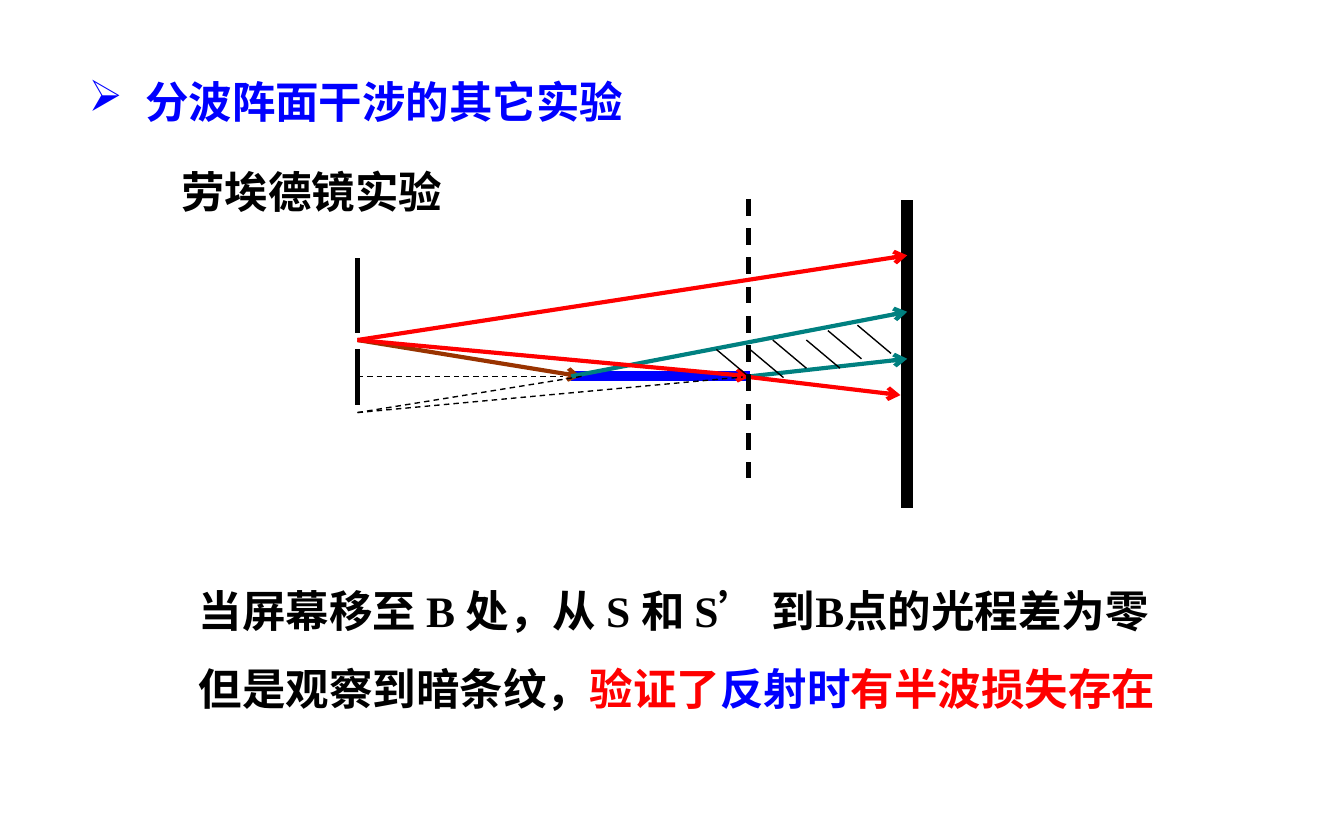
from dataclasses import dataclass

from lxml import etree
from pptx import Presentation
from pptx.dml.color import RGBColor
from pptx.enum import dml, shapes, text
from pptx.oxml import ns
from pptx.util import Inches, Pt


@dataclass(frozen=True)
class Theme:
    black: str = "000000"
    blue: str = "0000FF"
    red: str = "FF0000"
    teal: str = "008080"
    brown: str = "993300"
    latin: str = "Times New Roman"
    cjk: str = "Noto Sans CJK SC"
    size: float = 23.3
    hairline: float = 0.75
    ray: float = 2.25
    slit: float = 3
    mirror: float = 5.5
    screen: float = 6.25


THEME = Theme()

SLIT_X, MIRROR_X, MIRROR_END, SCREEN_X = 2.66, 4.25, 5.58, 6.75
MIRROR_Y = 2.8
SOURCE = (SLIT_X, 2.53)
IMAGE = (SLIT_X, 3.07)
NEAR_EDGE = (MIRROR_X, MIRROR_Y)
FAR_EDGE = (MIRROR_END, MIRROR_Y)


def place(box, left, top, width, height):
    box.left, box.top = Inches(left), Inches(top)
    box.width, box.height = Inches(width), Inches(height)
    frame = box.text_frame
    frame.word_wrap = True
    frame.auto_size = text.MSO_AUTO_SIZE.NONE
    frame.vertical_anchor = text.MSO_ANCHOR.TOP
    return frame


def set_bullet(para, char=None, indent=0):
    """Give the paragraph a hanging bullet, or none at all."""
    props = para._p.get_or_add_pPr()
    props.set("marL", str(Inches(indent)))
    props.set("indent", str(-Inches(indent)))
    bullet = etree.SubElement(props, ns.qn("a:buChar" if char else "a:buNone"))
    if char:
        bullet.set("char", char)


def write(para, spans, font=THEME.latin, spacing=1.0, bullet=None, indent=0):
    """Fill a paragraph with (words, colour) spans."""
    para.alignment = text.PP_ALIGN.LEFT
    para.line_spacing = spacing
    para.space_before = Pt(0)
    set_bullet(para, bullet, indent)
    para.font.name = font
    para.font.size = Pt(THEME.size)
    para.font.bold = True
    for words, color in spans:
        span = para.add_run()
        span.text = words
        span.font.color.rgb = RGBColor.from_string(color)


def add_line(page, start, end, color=THEME.black, width=THEME.hairline,
             dashed=False, arrow=False):
    line = page.shapes.add_connector(
        shapes.MSO_CONNECTOR.STRAIGHT, *map(Inches, (*start, *end)))
    line.line.color.rgb = RGBColor.from_string(color)
    line.line.width = Pt(width)
    if dashed:
        line.line.dash_style = dml.MSO_LINE.DASH
    if arrow:
        etree.SubElement(line.line._get_or_add_ln(), ns.qn("a:tailEnd"), type="arrow")
    etree.SubElement(line._element.spPr, ns.qn("a:effectLst"))


def add_ray(page, start, end, color):
    add_line(page, start, end, color, THEME.ray, arrow=True)


def add_apparatus(page):
    add_line(page, (SCREEN_X, 1.49), (SCREEN_X, 3.78), width=THEME.screen)
    for top, bottom in ((1.92, 2.48), (2.6, 3.01)):
        add_line(page, (SLIT_X, top), (SLIT_X, bottom), width=THEME.slit)
    add_line(page, NEAR_EDGE, FAR_EDGE, THEME.blue, THEME.mirror)


def add_rays(page):
    add_line(page, (SLIT_X, MIRROR_Y), (4.19, MIRROR_Y), dashed=True)
    add_ray(page, SOURCE, (4.32, MIRROR_Y), THEME.brown)
    add_ray(page, NEAR_EDGE, (SCREEN_X, 2.32), THEME.teal)
    add_ray(page, SOURCE, FAR_EDGE, THEME.red)
    add_ray(page, FAR_EDGE, (SCREEN_X, 2.67), THEME.teal)
    for end in ((4.33, MIRROR_Y), FAR_EDGE):
        add_line(page, IMAGE, end, dashed=True)
    add_ray(page, SOURCE, (SCREEN_X, 1.9), THEME.red)
    add_ray(page, (5.53, MIRROR_Y), (6.7, 2.94), THEME.red)


def add_overlap_hatching(page):
    starts = ((5.33, 2.6), (5.58, 2.6), (5.75, 2.53),
              (6, 2.53), (6.16, 2.46), (6.38, 2.42))
    for x, y in starts:
        add_line(page, (x, y), (x + 0.25, y + 0.21))


def main():
    deck = Presentation()
    deck.slide_width, deck.slide_height = Inches(10), Inches(6.25)
    page = deck.slides.add_slide(deck.slide_layouts[1])

    title = place(page.shapes.title, 0.56, 0.51, 5.08, 0.49)
    write(title.paragraphs[0], [("分波阵面干涉的其它实验", THEME.blue)],
          font=THEME.cjk, bullet="➢", indent=0.42)

    subtitle = place(page.shapes.add_textbox(0, 0, 0, 0), 1.25, 1.18, 2.94, 0.49)
    write(subtitle.paragraphs[0], [("劳埃德镜实验", THEME.black)])

    body = place(page.placeholders[1], 1.38, 4.1, 7.42, 1.2)
    write(body.paragraphs[0],
          [("当屏幕移至 B 处，从 S 和 S’ 到B点的光程差为零", THEME.black)], spacing=1.5)
    write(body.add_paragraph(),
          [("但是观察到暗条纹，", THEME.black), ("验证了", THEME.red),
           ("反射时", THEME.blue), ("有半波损失存在", THEME.red)], spacing=1.5)

    add_apparatus(page)
    add_rays(page)
    add_overlap_hatching(page)
    add_line(page, (5.57, 1.48), (5.57, 3.56), width=THEME.ray, dashed=True)
    deck.save("out.pptx")


if __name__ == "__main__":
    main()
